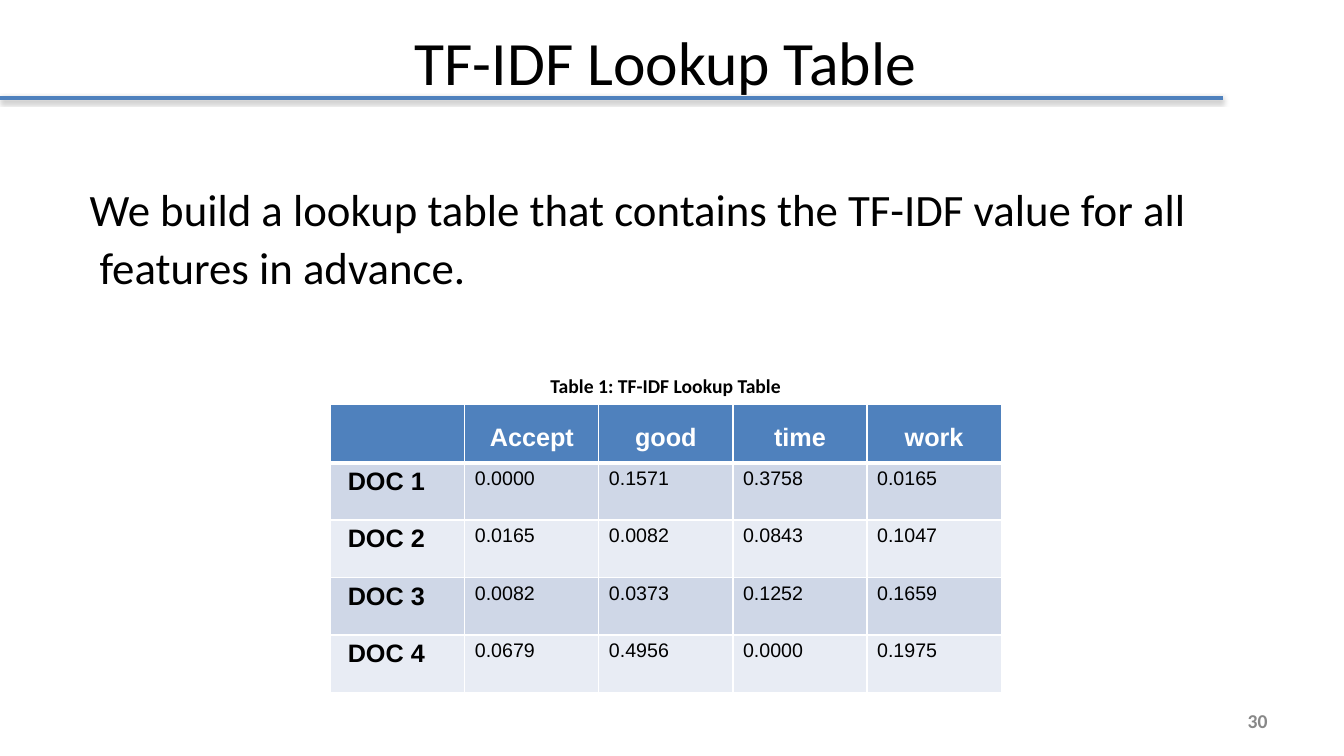
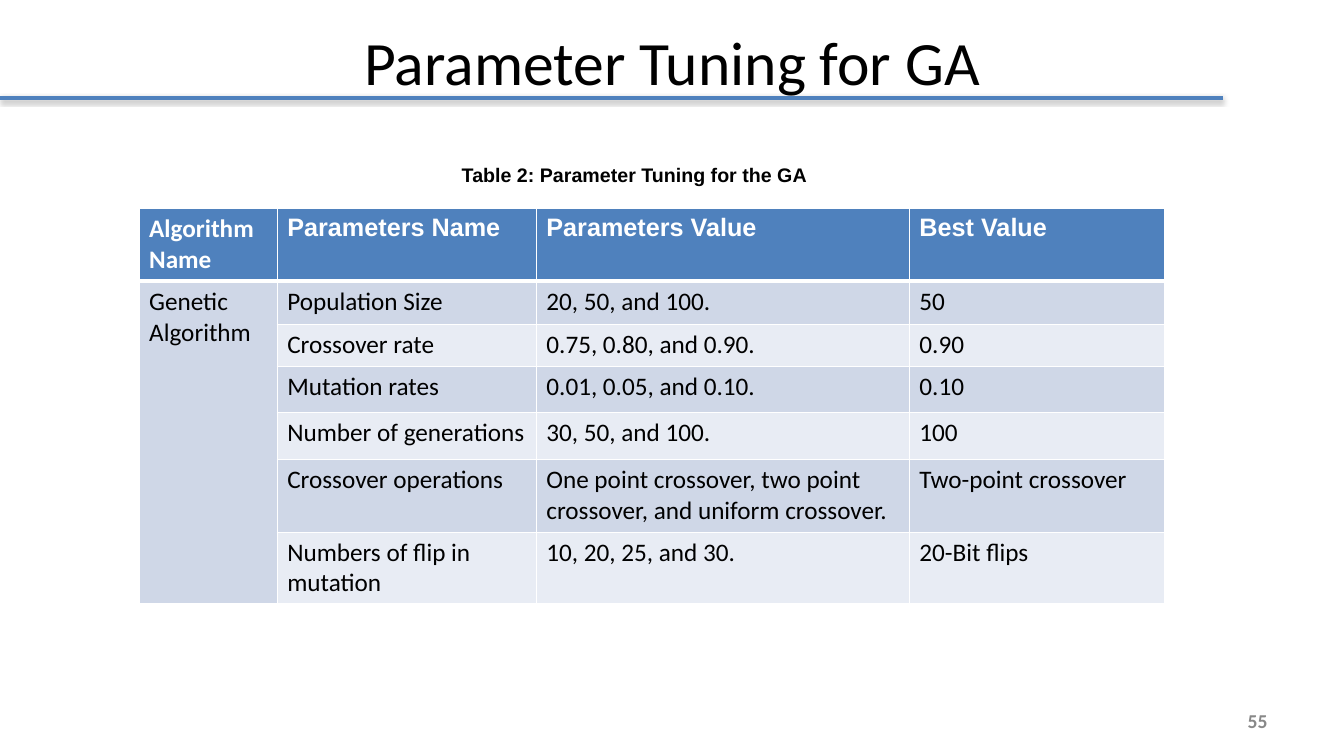
from lxml.etree import SubElement
from pptx import Presentation
from pptx.dml.color import RGBColor
from pptx.enum.shapes import MSO_CONNECTOR
from pptx.enum.text import MSO_ANCHOR, PP_ALIGN
from pptx.oxml.ns import qn
from pptx.util import Inches, Pt

BLUE, BLACK, WHITE, GREY = "4F81BD", "000000", "FFFFFF", "888888"
BANDS = ["CFD7E7", "E8ECF4"]


def color(code):
    """Turn a hex string into a colour."""
    return RGBColor.from_string(code)


def style(para, size, face="Calibri", bold=False, ink=BLACK, align=PP_ALIGN.LEFT):
    """Set the font and alignment of a paragraph."""
    para.alignment = align
    font = para.font
    font.name, font.size, font.bold = face, Pt(size), bold
    font.color.rgb = color(ink)


def border(cell, top, bottom):
    """Draw white cell borders; top and bottom widths are in points."""
    props = cell._tc.get_or_add_tcPr()
    for tag, width in (("a:lnL", 1), ("a:lnR", 1), ("a:lnT", top), ("a:lnB", bottom)):
        line = SubElement(props, qn(tag), w=str(Pt(width)))
        fill = SubElement(line, qn("a:solidFill"))
        SubElement(fill, qn("a:srgbClr"), val=WHITE)


class Deck:
    """Shared style and the current slide."""

    def __init__(self):
        """Start an empty wide deck."""
        self.show = Presentation()
        self.show.slide_width, self.show.slide_height = Inches(13.33), Inches(7.5)

    def page(self, title, number):
        """Add a slide with its title, page number and rule."""
        self.slide = self.show.slides.add_slide(self.show.slide_layouts[6])
        self.text([title], (0.67, -0.02, 12, 1.25), 44,
                  anchor=MSO_ANCHOR.MIDDLE, align=PP_ALIGN.CENTER)
        self.text([str(number)], (9.56, 6.95, 3.11, 0.4), 14, bold=True, ink=GREY,
                  anchor=MSO_ANCHOR.MIDDLE, align=PP_ALIGN.RIGHT)
        self.rule()

    def rule(self):
        """Draw the blue rule with its soft shadow."""
        y = Inches(0.97)
        rule = self.slide.shapes.add_connector(
            MSO_CONNECTOR.STRAIGHT, 0, y, Inches(12.13), y)
        rule.line.color.rgb, rule.line.width = color(BLUE), Pt(3)
        effects = SubElement(rule._element.spPr, qn("a:effectLst"))
        shadow = SubElement(effects, qn("a:outerShdw"), blurRad=str(Pt(3.1)),
                            dist=str(Pt(1.8)), dir="5400000", rotWithShape="0")
        shade = SubElement(shadow, qn("a:srgbClr"), val=BLACK)
        SubElement(shade, qn("a:alpha"), val="35000")

    def text(self, lines, box, size, anchor=MSO_ANCHOR.TOP, wrap=True,
             inset=0.1, before=0, indents=None, **font):
        """Add a text box with one paragraph for each line."""
        frame = self.slide.shapes.add_textbox(*map(Inches, box)).text_frame
        frame.word_wrap, frame.vertical_anchor = wrap, anchor
        frame.margin_left = Inches(inset)
        frame.text = "\n".join(lines)
        for i, para in enumerate(frame.paragraphs):
            style(para, size, **font)
            para.space_before = Pt(before)
            if indents:
                para._p.get_or_add_pPr().set("marL", str(Inches(indents[i])))

    def table(self, data, place, cols, rows, look):
        """Add a banded table; look gives the font of a cell."""
        grid = self.slide.shapes.add_table(
            len(rows), len(cols), *map(Inches, (*place, sum(cols), sum(rows)))).table
        for col, width in zip(grid.columns, cols):
            col.width = Inches(width)
        for row, height in zip(grid.rows, rows):
            row.height = Inches(height)
        for r, line in enumerate(data):
            for c, value in enumerate(line):
                cell = grid.cell(r, c)
                border(cell, 3 if r == 1 else 1, 1 if r else 3)
                cell.fill.solid()
                cell.fill.fore_color.rgb = color(BANDS[(r - 1) % 2] if r else BLUE)
                cell.text = value
                style(cell.text_frame.paragraphs[0], **look(r, c))
        return grid


def score(row, col):
    """Font of a cell in the lookup table."""
    if row == 0:
        return dict(size=18, face="Arial", bold=True, ink=WHITE, align=PP_ALIGN.CENTER)
    return dict(size=14 if col else 18, face="Arial", bold=col == 0)


def tuning(row, col):
    """Font of a cell in the parameter table."""
    if row == 0:
        return dict(size=18, face="Arial" if col else "Calibri", bold=True, ink=WHITE)
    return dict(size=18)


deck = Deck()

deck.page("TF-IDF Lookup Table ", 30)
scores = [
    ["", "Accept", "good", "time", "work"],
    ["DOC 1", "0.0000", "0.1571", "0.3758", "0.0165"],
    ["DOC 2", "0.0165", "0.0082", "0.0843", "0.1047"],
    ["DOC 3", "0.0082", "0.0373", "0.1252", "0.1659"],
    ["DOC 4", "0.0679", "0.4956", "0.0000", "0.1975"],
]
grid = deck.table(scores, (3.28, 4.01), [1.33] * 5, [0.58] + [0.57] * 4, score)
for c in range(1, 5):
    grid.cell(0, c).text_frame.paragraphs[0].line_spacing = 1.5
for r in range(1, 5):
    grid.cell(r, 0).margin_left = Inches(0.17)
deck.text(["We build a lookup table that contains the TF-IDF value for all",
           "features in advance."],
          (0.67, 1.75, 12, 4.95), 32, before=3.6, indents=[0.12, 0.22])
deck.text(["Table 1: TF-IDF Lookup Table"], (5.32, 3.66, 2.76, 0.32), 14,
          bold=True, inset=0.14)

deck.page("Parameter Tuning for GA", 55)
params = [
    ["Algorithm Name", "Parameters Name", "Parameters Value", "Best Value"],
    ["Genetic Algorithm", "Population Size", "20, 50, and 100.", "50"],
    ["", "Crossover rate", "0.75, 0.80, and 0.90.", "0.90"],
    ["", "Mutation rates", "0.01, 0.05, and 0.10.", "0.10"],
    ["", "Number of generations", "30, 50, and 100.", "100"],
    ["", "Crossover operations",
     "One point crossover, two point crossover, and uniform crossover.",
     "Two-point crossover"],
    ["", "Numbers of flip in mutation", "10, 20, 25, and 30.", "20-Bit flips"],
]
grid = deck.table(params, (1.38, 2.07), [1.37, 2.57, 3.7, 2.53],
                  [0.72, 0.43, 0.42, 0.45, 0.47, 0.72, 0.71], tuning)
grid.cell(1, 0).merge(grid.cell(6, 0))
deck.text(["Table 2: Parameter Tuning for the GA"], (4.43, 1.57, 3.73, 0.34), 14,
          face="Arial", bold=True, wrap=False, inset=0.15)

deck.show.save("out.pptx")
